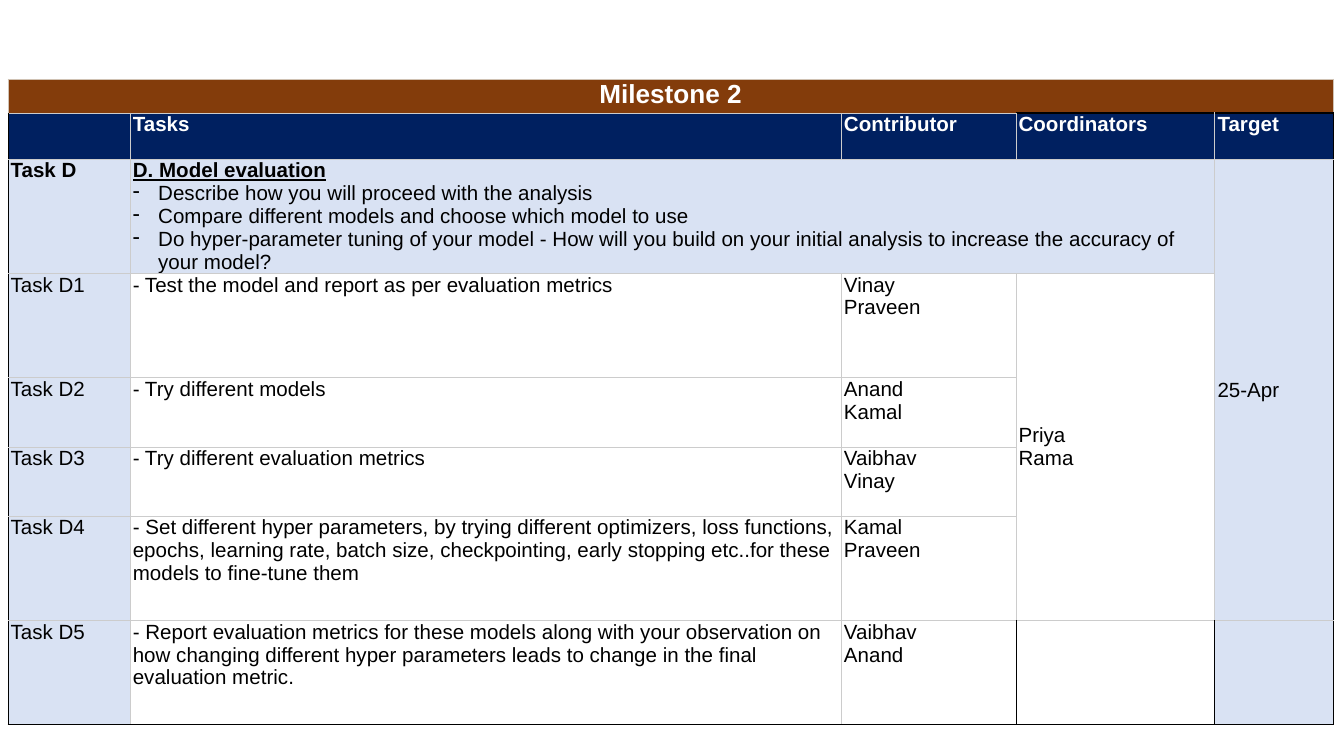
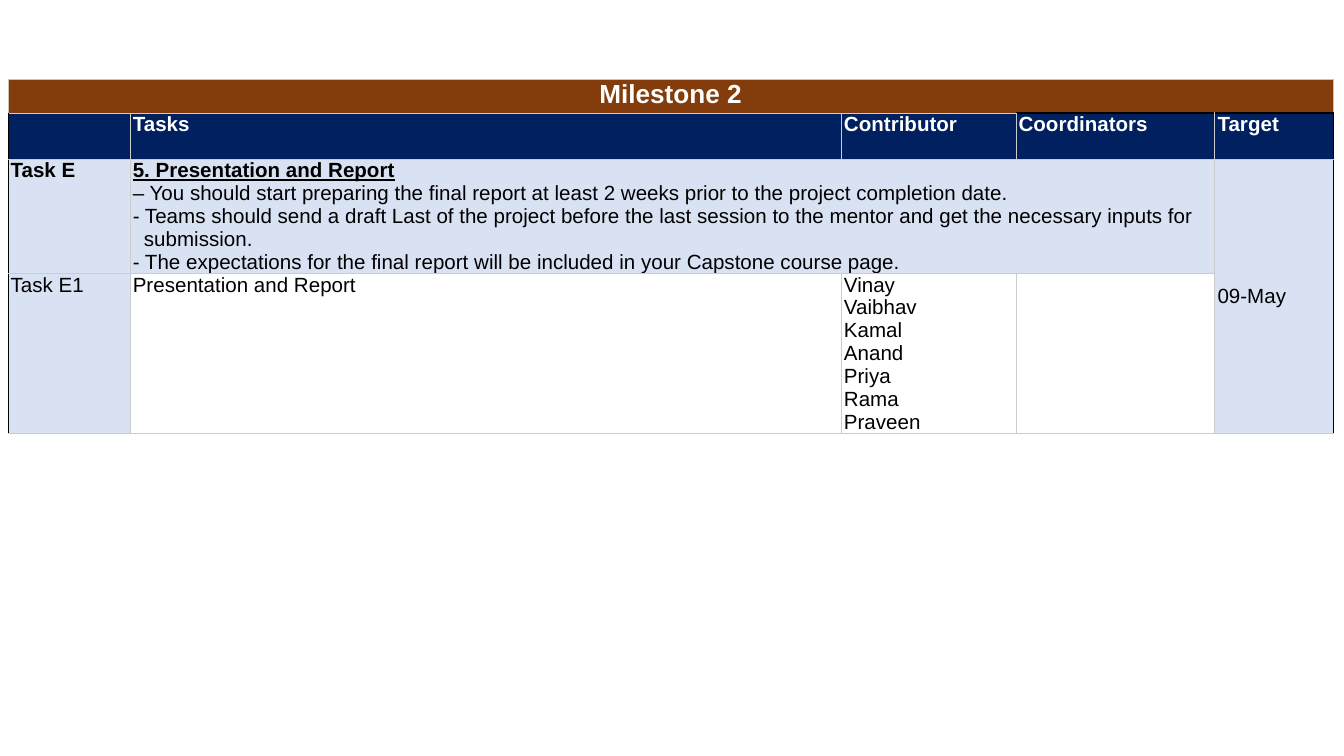
"""Builds two slides with the Milestone 2 task tables."""
from lxml.etree import SubElement
from pptx import Presentation
from pptx.dml.color import RGBColor
from pptx.enum.text import MSO_ANCHOR, PP_ALIGN
from pptx.oxml.ns import qn
from pptx.util import Cm, Pt

COLORS = {
    "banner": "833C0B",
    "banner_edge": "D0C2B3",
    "header": "002060",
    "tint": "D9E2F3",
    "grid": "CCCCCC",
    "black": "000000",
    "white": "FFFFFF",
}
COLUMN_WIDTHS = [2.31, 13.44, 3.3, 3.76, 2.24]
HEADINGS = ["", "Tasks", "Contributor", "Coordinators", "Target"]
BANNER_HEIGHT, HEADER_HEIGHT, SUMMARY_HEIGHT = 0.64, 0.87, 2.11
TALL, SHORT = 1.97, 1.31
LAST_COLUMN = len(COLUMN_WIDTHS) - 1


class MilestoneDeck:
    def __init__(self):
        self.presentation = Presentation()
        self.presentation.slide_width = Cm(25.4)
        self.presentation.slide_height = Cm(14.29)
        self.font = "Arial"
        self.slide = None

    def add_slide(self):
        self.slide = self.presentation.slides.add_slide(self.presentation.slide_layouts[6])

    def add_grid(self, heights):
        shape = self.slide.shapes.add_table(
            len(heights), len(COLUMN_WIDTHS), Cm(0.15), Cm(1.5),
            Cm(sum(COLUMN_WIDTHS)), Cm(sum(heights)))
        table = shape.table
        table.first_row = table.horz_banding = False
        for column, width in zip(table.columns, COLUMN_WIDTHS):
            column.width = Cm(width)
        for row, height in zip(table.rows, heights):
            row.height = Cm(height)
        return table

    def set_borders(self, cell, color="grid", **edges):
        sides = {"L": color, "R": color, "T": color, "B": color, **edges}
        properties = cell._tc.get_or_add_tcPr()
        for side, name in sides.items():
            width = 1 if side == "T" and name == "black" else 0.5
            line = SubElement(properties, qn(f"a:ln{side}"), w=str(Pt(width)))
            fill = SubElement(line, qn("a:solidFill"))
            SubElement(fill, qn("a:srgbClr"), val=COLORS[name])

    def set_fill(self, cell, color=None):
        if color:
            cell.fill.solid()
            cell.fill.fore_color.rgb = RGBColor.from_string(COLORS[color])
        else:
            cell.fill.background()

    def set_text(self, cell, *lines, size=11, color="black", bold=False, centered=False):
        cell.margin_left = cell.margin_right = Cm(0.05)
        cell.margin_top = cell.margin_bottom = 0
        text_frame = cell.text_frame
        for index, line in enumerate(lines):
            paragraph = text_frame.add_paragraph() if index else text_frame.paragraphs[0]
            paragraph.text = line
            if centered:
                paragraph.alignment = PP_ALIGN.CENTER
            for run in paragraph.runs:
                run.font.name = self.font
                run.font.size = Pt(size)
                run.font.bold = bold
                run.font.color.rgb = RGBColor.from_string(COLORS[color])

    def set_hanging_indent(self, paragraph, indent, bullet=None):
        properties = paragraph._p.get_or_add_pPr()
        properties.set("marL", str(Cm(indent)))
        properties.set("indent", str(-Cm(indent)))
        if bullet:
            SubElement(properties, qn("a:buChar"), char=bullet)

    def set_summary(self, cell, title, points, indents, bullet):
        self.set_text(cell, title, *points)
        heading, *details = cell.text_frame.paragraphs
        heading.runs[0].font.bold = True
        heading.runs[0].font.underline = True
        for paragraph, indent in zip(details, indents):
            if indent:
                self.set_hanging_indent(paragraph, indent, bullet)

    def style_cell(self, cell, row, column, closing):
        if row == 0:
            self.set_borders(cell, "banner_edge", B="black" if column > 2 else "grid")
            self.set_fill(cell, "banner")
            return
        edges = {}
        if column == 0 or closing and column > 2:
            edges["L"] = "black"
        if column == LAST_COLUMN or closing and column in (2, 3):
            edges["R"] = "black"
        if row == 1 and column > 2:
            edges["T"] = "black"
        if closing:
            edges["B"] = "black"
        self.set_borders(cell, **edges)
        tinted = row == 2 or column in (0, LAST_COLUMN)
        self.set_fill(cell, "header" if row == 1 else "tint" if tinted else None)

    def add_milestone(self, name, title, points, indents, tasks, target,
                      coordinators=(), bullet=None, closed=False):
        self.add_slide()
        heights = [BANNER_HEIGHT, HEADER_HEIGHT, SUMMARY_HEIGHT]
        table = self.add_grid(heights + [height for *_, height in tasks])
        last_row = len(table.rows) - 1
        shared_end = last_row - 1 if closed else last_row

        for row in range(last_row + 1):
            for column in range(LAST_COLUMN + 1):
                self.style_cell(table.cell(row, column), row, column,
                                closed and row == last_row)

        table.cell(0, 0).merge(table.cell(0, LAST_COLUMN))
        table.cell(2, 1).merge(table.cell(2, 3))
        table.cell(2, LAST_COLUMN).merge(table.cell(shared_end, LAST_COLUMN))
        if shared_end > 3:
            table.cell(3, 3).merge(table.cell(shared_end, 3))

        self.set_text(table.cell(0, 0), "Milestone 2", size=14, color="white",
                      bold=True, centered=True)
        for column, heading in enumerate(HEADINGS):
            self.set_text(table.cell(1, column), heading, color="white", bold=True)
        self.set_text(table.cell(2, 0), name, bold=True)
        self.set_summary(table.cell(2, 1), title, points, indents, bullet)
        for row, (label, task, contributors, _) in enumerate(tasks, start=3):
            self.set_text(table.cell(row, 0), label)
            self.set_text(table.cell(row, 1), task)
            self.set_text(table.cell(row, 2), *contributors)
        for cell, lines in ((table.cell(2, LAST_COLUMN), [target]),
                            (table.cell(3, 3), coordinators)):
            self.set_text(cell, *lines)
            cell.vertical_anchor = MSO_ANCHOR.MIDDLE


def main():
    deck = MilestoneDeck()
    deck.add_milestone(
        "Task D", "D. Model evaluation",
        ["Describe how you will proceed with the analysis",
         "Compare different models and choose which model to use",
         "Do hyper-parameter tuning of your model - How will you build on your initial "
         "analysis to increase the accuracy of your model?"],
        [0.48, 0.48, 0.48],
        [("Task D1", "- Test the model and report as per evaluation metrics",
          ["Vinay\nPraveen"], TALL),
         ("Task D2", "- Try different models", ["Anand\nKamal"], SHORT),
         ("Task D3", "- Try different evaluation metrics", ["Vaibhav\nVinay"], SHORT),
         ("Task D4", "- Set different hyper parameters, by trying different optimizers, "
          "loss functions, epochs, learning rate, batch size, checkpointing, early stopping "
          "etc..for these models to fine-tune them", ["Kamal\nPraveen"], TALL),
         ("Task D5", "- Report evaluation metrics for these models along with your "
          "observation on how changing different hyper parameters leads to change in the "
          "final evaluation metric.", ["Vaibhav\nAnand"], TALL)],
        "25-Apr", coordinators=["Priya", "Rama"], bullet="-", closed=True)
    deck.add_milestone(
        "Task E", "5. Presentation and Report",
        ["– You should start preparing the final report at least 2 weeks prior to the "
         "project completion date.",
         "- Teams should send a draft Last of the project before the last session to the "
         "mentor and get the necessary inputs for submission.",
         "- The expectations for the final report will be included in your Capstone "
         "course page."],
        [0, 0.21, 0.21],
        [("Task E1", "Presentation and Report",
          ["Vinay", "Vaibhav", "Kamal", "Anand", "Priya", "Rama", "Praveen"], TALL)],
        "09-May")
    deck.presentation.save("out.pptx")


if __name__ == "__main__":
    main()
